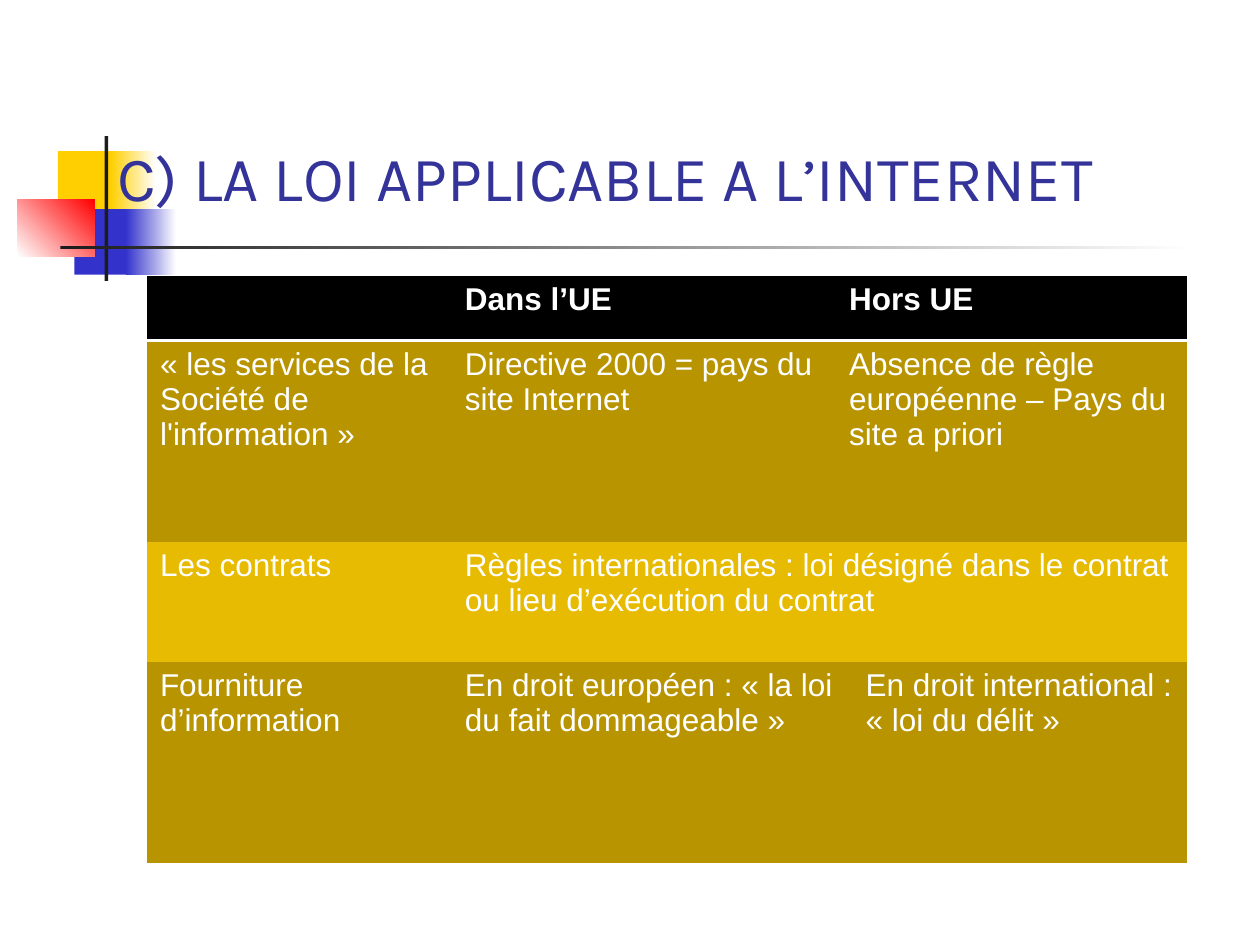
from lxml import etree
from pptx import Presentation
from pptx.dml.color import RGBColor
from pptx.enum.shapes import MSO_SHAPE
from pptx.enum.text import MSO_ANCHOR, MSO_AUTO_SIZE, PP_ALIGN
from pptx.oxml import parse_xml
from pptx.oxml.ns import nsdecls, qn
from pptx.util import Inches, Pt

RECT = MSO_SHAPE.RECTANGLE
BOTTOM = MSO_ANCHOR.BOTTOM
LEFT = PP_ALIGN.LEFT
FIXED = MSO_AUTO_SIZE.NONE

# Content
TITLE = "C) LA LOI APPLICABLE A L’INTERNET"
# Each cell: text, number of columns it spans
ROWS = [
    [("", 1), ("Dans l’UE", 1), ("Hors UE", 2)],
    [("« les services de la Société de l'information\u00a0»", 1),
     ("Directive 2000 = pays du site Internet", 1),
     ("Absence de règle européenne – Pays du site a priori", 2)],
    [("Les contrats", 1),
     ("Règles internationales : loi désigné dans le contrat "
      "ou lieu d’exécution du contrat", 3)],
    [("Fourniture d’information", 1),
     ("En droit européen : «\u00a0la loi du fait dommageable\u00a0»", 2),
     ("En droit international : «\u00a0loi du délit\u00a0»", 1)],
]

# Theme
THEME = {
    "white": "FFFFFF", "dark": "1C1C1C", "gold": "FFCF01", "blue": "3333CC",
    "red": "FF0000", "head": "000000", "odd": "B79400", "even": "E7BB01",
    "title": {"name": "Karla", "size": Pt(36), "bold": False, "color": "333399"},
    "label": {"name": "Arial", "size": Pt(18), "bold": True, "color": "FFFFFF"},
    "body": {"name": "Arial", "size": Pt(18), "bold": False, "color": "FFFFFF"},
}
PLAIN_STYLE = "{2D5ABB26-0587-4C30-8999-92F81FD0307C}"

# Layout, in inches
TITLE_BOX = (0.83, 0.5, 8.78, 1.25)
TABLE_AT = (1.17, 2.19)
COLS = [2.42, 3.05, 0.13, 2.65]
HEIGHTS = [0.51, 1.6, 0.95, 1.6]
# Box, colours (two make a gradient), angle
DECOR = [
    ((0.46, 1.2, 0.48, 0.52), ["gold"], 0),
    ((0.88, 1.2, 0.36, 0.52), ["gold", "white"], 0),
    ((0.59, 1.66, 0.46, 0.52), ["blue"], 0),
    ((1, 1.66, 0.4, 0.52), ["blue", "white"], 0),
    ((0.14, 1.58, 0.61, 0.46), ["white", "red"], 45),
    ((0.83, 1.08, 0.03, 1.15), ["dark"], 0),
    ((0.48, 1.95, 9, 0.03), ["dark", "white"], 0),
]


def tint(key):
    return RGBColor.from_string(THEME[key])


def style(font, key):
    for name, value in THEME[key].items():
        if name == "color":
            font.color.rgb = RGBColor.from_string(value)
        else:
            setattr(font, name, value)


def add_decor(slide):
    for box, keys, angle in DECOR:
        shape = slide.shapes.add_shape(RECT, *map(Inches, box))
        shape.shadow.inherit = False
        shape.line.fill.background()
        if len(keys) == 1:
            shape.fill.solid()
            shape.fill.fore_color.rgb = tint(keys[0])
            continue
        shape.fill.gradient()
        shape.fill.gradient_angle = angle
        for place, (stop, key) in enumerate(zip(shape.fill.gradient_stops, keys)):
            stop.position = place
            stop.color.rgb = tint(key)


def add_title(slide):
    title = slide.shapes.title
    title.left, title.top, title.width, title.height = map(Inches, TITLE_BOX)
    frame = title.text_frame
    frame.text = TITLE
    frame.word_wrap = True
    frame.auto_size = FIXED
    frame.vertical_anchor = BOTTOM
    para = frame.paragraphs[0]
    para.alignment = LEFT
    style(para.runs[0].font, "title")
    # Bring the title in front of the decor
    slide.shapes._spTree.append(title._element)


def add_rule(cell):
    line = parse_xml(f'<a:lnB {nsdecls("a")} w="{Pt(2)}"/>')
    fill = etree.SubElement(line, qn("a:solidFill"))
    etree.SubElement(fill, qn("a:srgbClr"), val=THEME["white"])
    cell._tc.get_or_add_tcPr().insert(0, line)


def add_grid(slide):
    size = (sum(COLS), sum(HEIGHTS))
    frame = slide.shapes.add_table(len(ROWS), len(COLS),
                                   *map(Inches, TABLE_AT + size))
    table = frame.table
    table.horz_banding = False
    table._tbl.tblPr.find(qn("a:tableStyleId")).text = PLAIN_STYLE
    for col, width in zip(table.columns, COLS):
        col.width = Inches(width)
    for row, height in zip(table.rows, HEIGHTS):
        row.height = Inches(height)

    for r, row in enumerate(ROWS):
        shade = "head" if r == 0 else "odd" if r % 2 else "even"
        for cell in table.rows[r].cells:
            cell.fill.solid()
            cell.fill.fore_color.rgb = tint(shade)
            if r == 0:
                add_rule(cell)
        c = 0
        for text, span in row:
            cell = table.cell(r, c)
            if span > 1:
                cell.merge(table.cell(r, c + span - 1))
            cell.text = text
            style(cell.text_frame.paragraphs[0].font, "body" if r else "label")
            for run in cell.text_frame.paragraphs[0].runs:
                style(run.font, "body" if r else "label")
            c += span


def main():
    deck = Presentation()
    deck.slide_width, deck.slide_height = Inches(10), Inches(7.5)
    slide = deck.slides.add_slide(deck.slide_layouts[5])
    add_decor(slide)
    add_title(slide)
    add_grid(slide)
    deck.save("out.pptx")


if __name__ == "__main__":
    main()
